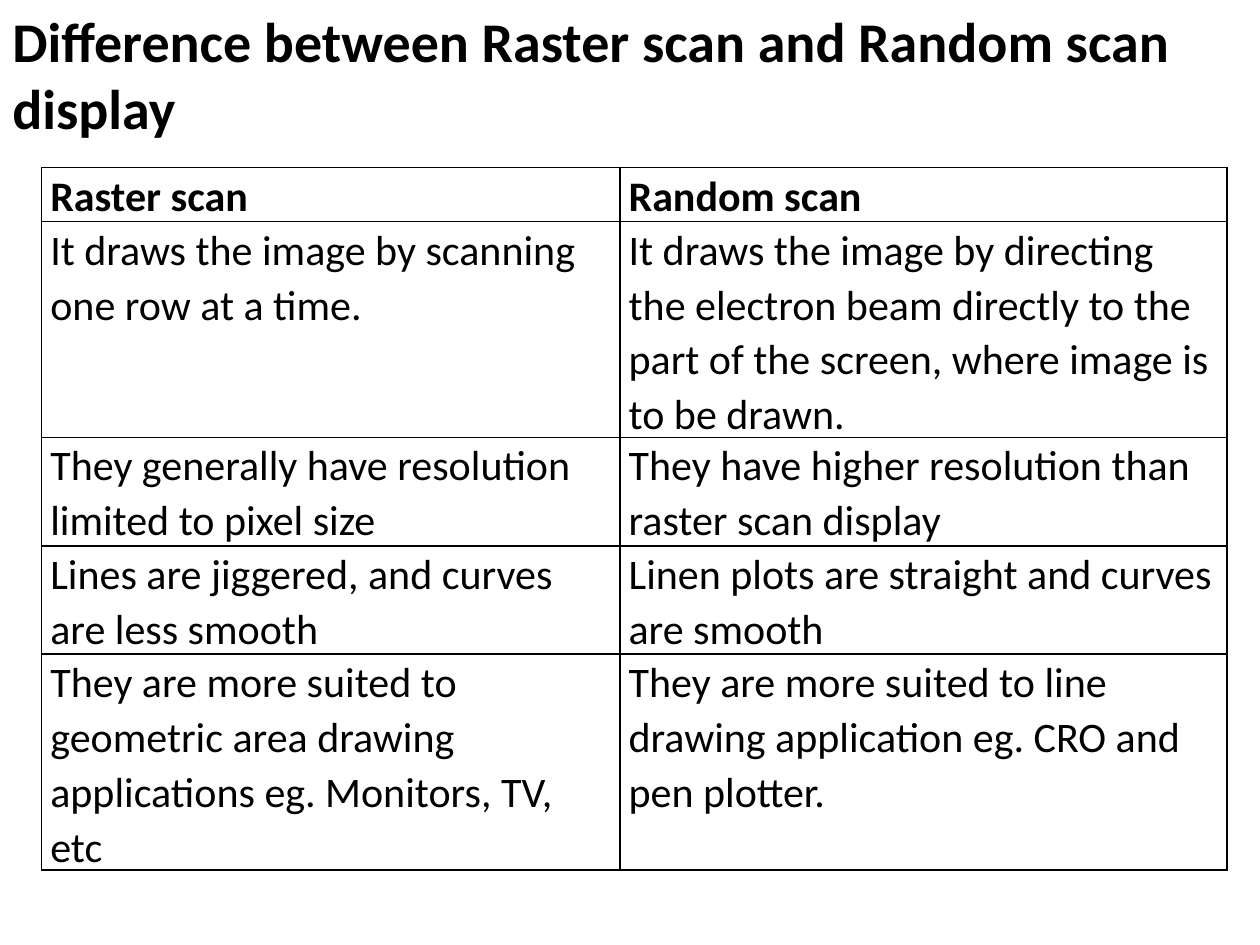
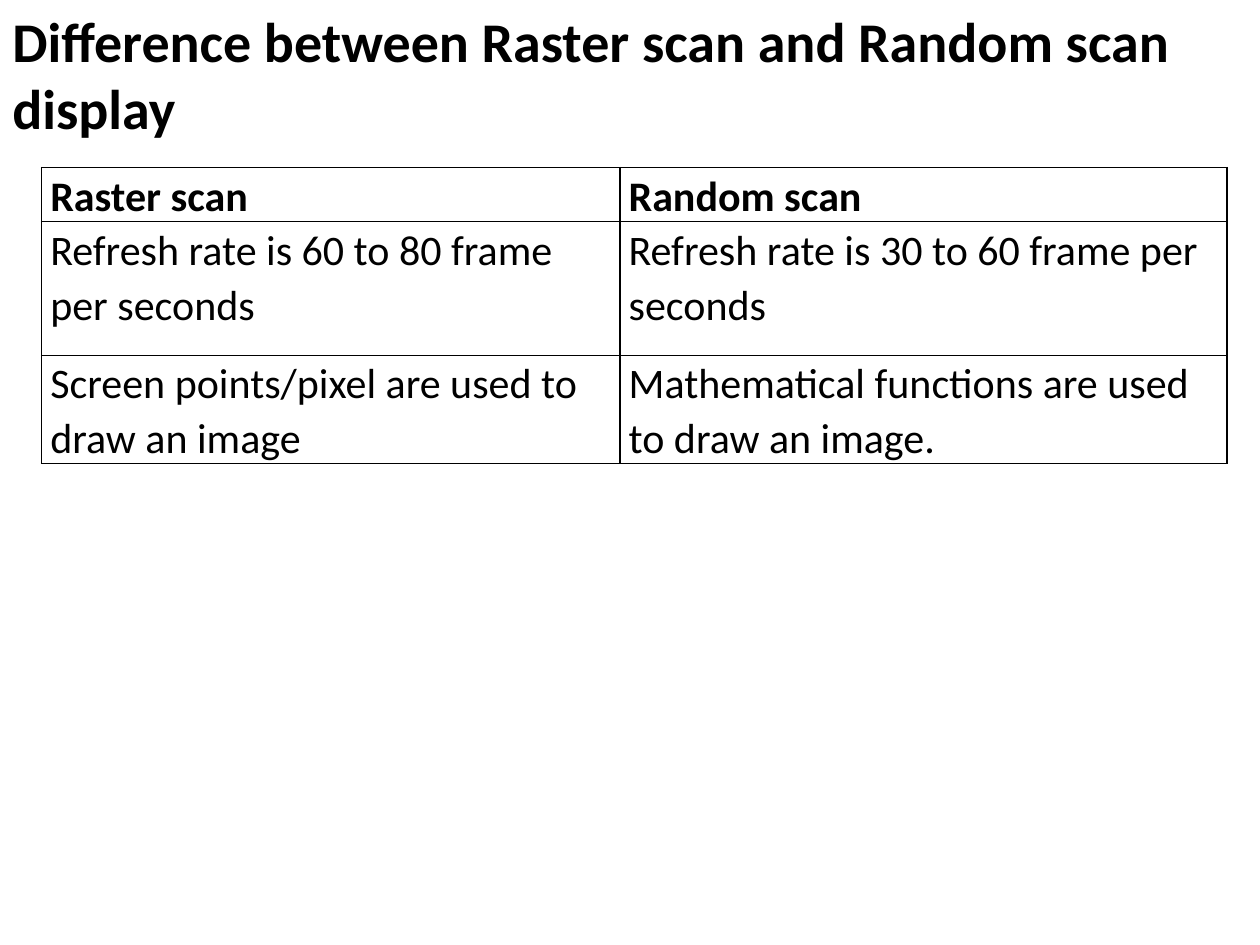
from dataclasses import dataclass

from lxml import etree
from pptx import Presentation
from pptx.dml.color import RGBColor
from pptx.enum.text import MSO_AUTO_SIZE, PP_ALIGN
from pptx.oxml.ns import qn
from pptx.slide import Slide
from pptx.table import _Cell
from pptx.text.text import _Paragraph
from pptx.util import Inches, Pt

LEFT = PP_ALIGN.LEFT
GROW = MSO_AUTO_SIZE.SHAPE_TO_FIT_TEXT


@dataclass(frozen=True)
class Theme:
    font: str = "Calibri"
    ink: RGBColor = RGBColor(0, 0, 0)
    title_size: Pt = Pt(32)
    cell_size: Pt = Pt(24)
    border: Pt = Pt(1)
    line_spacing: float = 1.07
    space_after: Pt = Pt(8)


@dataclass(frozen=True)
class Row:
    raster: str
    random: str
    height: float


THEME = Theme()
TITLE = "Difference between Raster scan and Random scan display"
HEADER = Row("Raster scan", "Random scan", 0.43)
COLUMN_WIDTHS = (4.59, 4.82)
COMPARISONS = (
    (
        Row("It draws the image by scanning one row at a time.",
            "It draws the image by directing the electron beam directly to the "
            "part of the screen, where image is to be drawn.", 1.71),
        Row("They generally have resolution limited to pixel size",
            "They have higher resolution than raster scan display", 0.86),
        Row("Lines are jiggered, and curves are less smooth",
            "Linen plots are straight and curves are smooth", 0.86),
        Row("They are more suited to geometric area drawing applications eg. "
            "Monitors, TV, etc",
            "They are more suited to line drawing application eg. CRO and pen "
            "plotter.", 1.71),
    ),
    (
        Row("Refresh rate is 60 to 80 frame per seconds",
            "Refresh rate is 30 to 60 frame per seconds", 1.06),
        Row("Screen points/pixel are used to draw an image",
            "Mathematical functions are used to draw an image.", 0.86),
    ),
)


def style_paragraph(p: _Paragraph, size: Pt, bold: bool) -> None:
    p.alignment = LEFT
    p.font.name = THEME.font
    p.font.size = size
    p.font.bold = bold
    p.font.color.rgb = THEME.ink


def add_title(slide: Slide) -> None:
    sp = slide.shapes.add_textbox(0, 0, Inches(9.83), Inches(1.18))
    tf = sp.text_frame
    tf.word_wrap = True
    tf.auto_size = GROW
    tf.text = TITLE
    style_paragraph(tf.paragraphs[0], THEME.title_size, True)


def add_borders(cell: _Cell) -> None:
    tc_pr = cell._tc.get_or_add_tcPr()
    for i, side in enumerate(("lnL", "lnR", "lnT", "lnB")):
        ln = etree.Element(qn(f"a:{side}"), w=str(THEME.border))
        fill = etree.SubElement(ln, qn("a:solidFill"))
        etree.SubElement(fill, qn("a:srgbClr"), val=str(THEME.ink))
        tc_pr.insert(i, ln)


def fill_cell(cell: _Cell, text: str, bold: bool) -> None:
    cell.margin_left = cell.margin_right = Inches(0.07)
    cell.margin_top = cell.margin_bottom = 0
    cell.fill.background()
    add_borders(cell)
    cell.text = text
    p = cell.text_frame.paragraphs[0]
    p.line_spacing = THEME.line_spacing
    p.space_after = THEME.space_after
    style_paragraph(p, THEME.cell_size, bold)


def add_comparison(slide: Slide, body: tuple[Row, ...]) -> None:
    rows = (HEADER, *body)
    table = slide.shapes.add_table(
        len(rows), len(COLUMN_WIDTHS), Inches(0.33), Inches(1.33),
        Inches(sum(COLUMN_WIDTHS)), Inches(sum(row.height for row in rows)),
    ).table
    table.first_row = table.horz_banding = False
    for column, width in zip(table.columns, COLUMN_WIDTHS):
        column.width = Inches(width)
    for i, row in enumerate(rows):
        table.rows[i].height = Inches(row.height)
        for j, text in enumerate((row.raster, row.random)):
            fill_cell(table.cell(i, j), text, row is HEADER)


def main() -> None:
    prs = Presentation()
    prs.slide_width, prs.slide_height = Inches(10), Inches(7.5)
    blank = prs.slide_layouts[6]
    for body in COMPARISONS:
        slide = prs.slides.add_slide(blank)
        add_title(slide)
        add_comparison(slide, body)
    prs.save("out.pptx")


if __name__ == "__main__":
    main()
